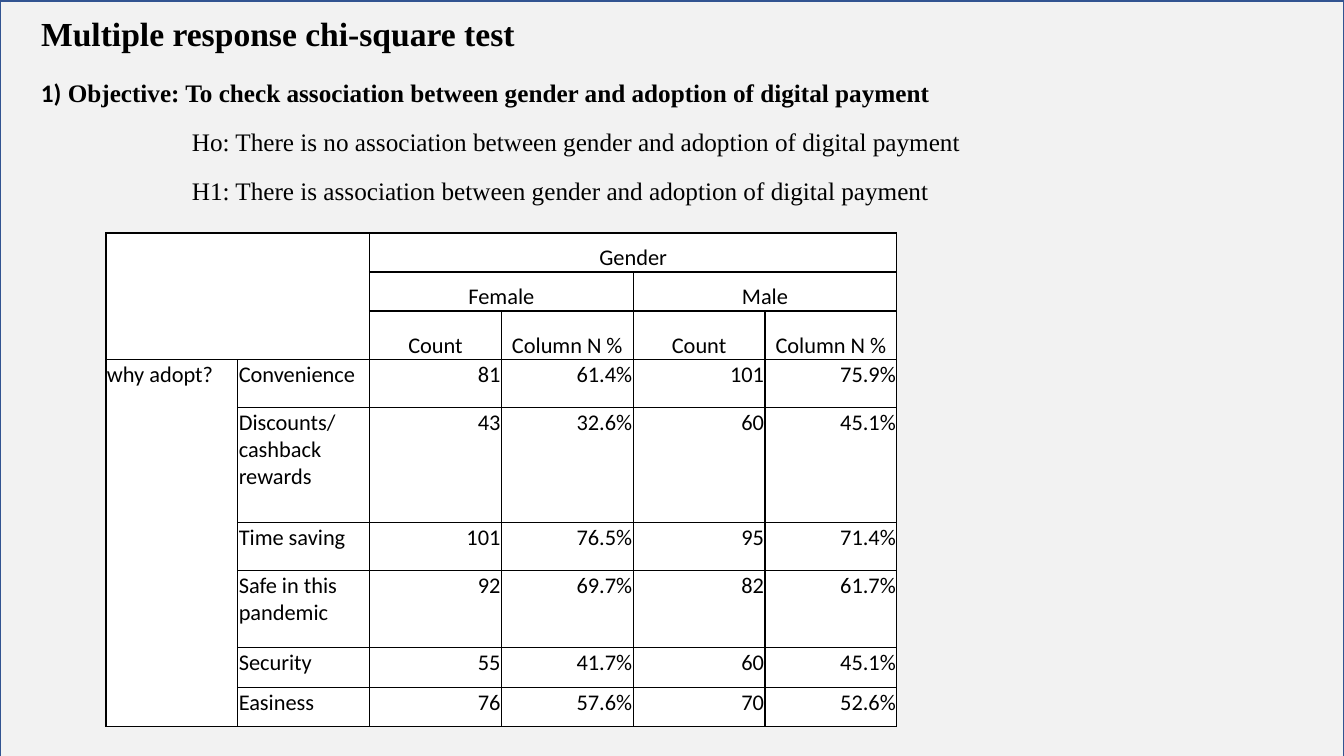
import pptx
import pptx.dml.color
import pptx.enum.shapes
import pptx.enum.text
import pptx.oxml
import pptx.oxml.ns
import pptx.util

EMU_PER_PX = 914400 / 100.8
COLORS = {"panel": "F2F2F2", "outline": "325491", "text": "000000", "cell": "FFFFFF"}
SERIF = "Times New Roman"
SANS = "Calibri"
ALIGN = pptx.enum.text.PP_ALIGN
ANCHOR = pptx.enum.text.MSO_ANCHOR

HYPOTHESES = [
    "Ho: There is no association between gender and adoption of digital payment",
    "H1: There is association between gender and adoption of digital payment",
]
ROW_HEIGHTS = [39, 39, 49, 48, 115, 48, 77, 40, 39]
HEADER_ROWS = 3
ROWS = [
    ["", "", "Gender", "", "", ""],
    ["", "", "Female", "", "Male", ""],
    ["", "", "Count", "Column N %", "Count", "Column N %"],
    ["why adopt?", "Convenience", "81", "61.4%", "101", "75.9%"],
    ["", "Discounts/cashback rewards", "43", "32.6%", "60", "45.1%"],
    ["", "Time saving", "101", "76.5%", "95", "71.4%"],
    ["", "Safe in this pandemic", "92", "69.7%", "82", "61.7%"],
    ["", "Security", "55", "41.7%", "60", "45.1%"],
    ["", "Easiness", "76", "57.6%", "70", "52.6%"],
]
MERGES = [((0, 0), (2, 1)), ((0, 2), (0, 5)), ((1, 2), (1, 3)), ((1, 4), (1, 5)), ((3, 0), (8, 0))]


def px(length):
    return pptx.util.Emu(round(length * EMU_PER_PX))


def color(name):
    return pptx.dml.color.RGBColor.from_string(COLORS[name])


def style_font(font, size, name, bold=False):
    font.size = pptx.util.Pt(size)
    font.name = name
    font.bold = bold
    font.color.rgb = color("text")


def add_panel(slide, left, top, width, height):
    panel = slide.shapes.add_shape(
        pptx.enum.shapes.MSO_SHAPE.RECTANGLE, px(left), px(top), px(width), px(height)
    )
    panel.shadow.inherit = False
    panel.fill.solid()
    panel.fill.fore_color.rgb = color("panel")
    panel.line.color.rgb = color("outline")
    panel.line.width = pptx.util.Pt(1)
    slide.shapes.title.element.addprevious(panel.element)


def place_title(slide, left, top, width, height):
    title = slide.shapes.title
    title.left, title.top, title.width, title.height = px(left), px(top), px(width), px(height)
    frame = title.text_frame
    frame.text = "Multiple response chi-square test"
    frame.word_wrap = True
    frame.auto_size = pptx.enum.text.MSO_AUTO_SIZE.NONE
    frame.vertical_anchor = ANCHOR.TOP
    paragraph = frame.paragraphs[0]
    paragraph.alignment = ALIGN.LEFT
    style_font(paragraph.font, 24, SERIF, bold=True)


def add_objective(slide, left, top, width, height):
    frame = slide.shapes.add_textbox(px(left), px(top), px(width), px(height)).text_frame
    frame.word_wrap = True
    objective = frame.paragraphs[0]
    for text, name in [
        ("1)", SANS),
        (" Objective: To check association between gender and adoption of digital payment", SERIF),
    ]:
        run = objective.add_run()
        run.text = text
        style_font(run.font, 18, name, bold=True)
    for text in HYPOTHESES:
        paragraph = frame.add_paragraph()
        paragraph.text = text
        paragraph.level = 3
        properties = paragraph._p.get_or_add_pPr()
        properties.set("marL", str(px(151)))
        properties.set("indent", "0")
        style_font(paragraph.font, 18, SERIF)
    for paragraph in frame.paragraphs:
        paragraph.line_spacing = 1.15
        paragraph.space_after = pptx.util.Pt(10)


def add_borders(cell):
    properties = cell._tc.get_or_add_tcPr()
    for side in ("lnL", "lnR", "lnT", "lnB"):
        properties.append(pptx.oxml.parse_xml(
            f'<a:{side} {pptx.oxml.ns.nsdecls("a")} w="12700"><a:solidFill>'
            f'<a:srgbClr val="{COLORS["text"]}"/></a:solidFill></a:{side}>'
        ))


def style_cell(cell, text, alignment, anchor):
    add_borders(cell)
    cell.fill.solid()
    cell.fill.fore_color.rgb = color("cell")
    cell.margin_left = cell.margin_right = cell.margin_top = px(1)
    cell.margin_bottom = 0
    cell.vertical_anchor = anchor
    cell.text = text
    paragraph = cell.text_frame.paragraphs[0]
    paragraph.alignment = alignment
    style_font(paragraph.font, 16, SANS)


def add_gender_table(slide, left, top, width):
    table = slide.shapes.add_table(
        len(ROWS), len(ROWS[0]), px(left), px(top), px(width), px(sum(ROW_HEIGHTS))
    ).table
    table.first_row = False
    table.horz_banding = False
    for column in table.columns:
        column.width = px(width / len(ROWS[0]))
    for row, height in zip(table.rows, ROW_HEIGHTS):
        row.height = px(height)
    for row_index, texts in enumerate(ROWS):
        for column_index, text in enumerate(texts):
            cell = table.cell(row_index, column_index)
            if row_index < HEADER_ROWS:
                style_cell(cell, text, ALIGN.CENTER, ANCHOR.BOTTOM)
            else:
                alignment = ALIGN.LEFT if column_index < 2 else ALIGN.RIGHT
                style_cell(cell, text, alignment, ANCHOR.TOP)
    for first, last in MERGES:
        table.cell(*first).merge(table.cell(*last))


def main():
    presentation = pptx.Presentation()
    presentation.slide_width = px(1344)
    presentation.slide_height = px(756)
    slide = presentation.slides.add_slide(presentation.slide_layouts[5])
    add_panel(slide, 0, 1, 1344, 756)
    place_title(slide, 31, 8, 672, 50)
    add_objective(slide, 31, 68, 1056, 150)
    add_gender_table(slide, 106, 233, 791)
    presentation.save("out.pptx")


if __name__ == "__main__":
    main()
